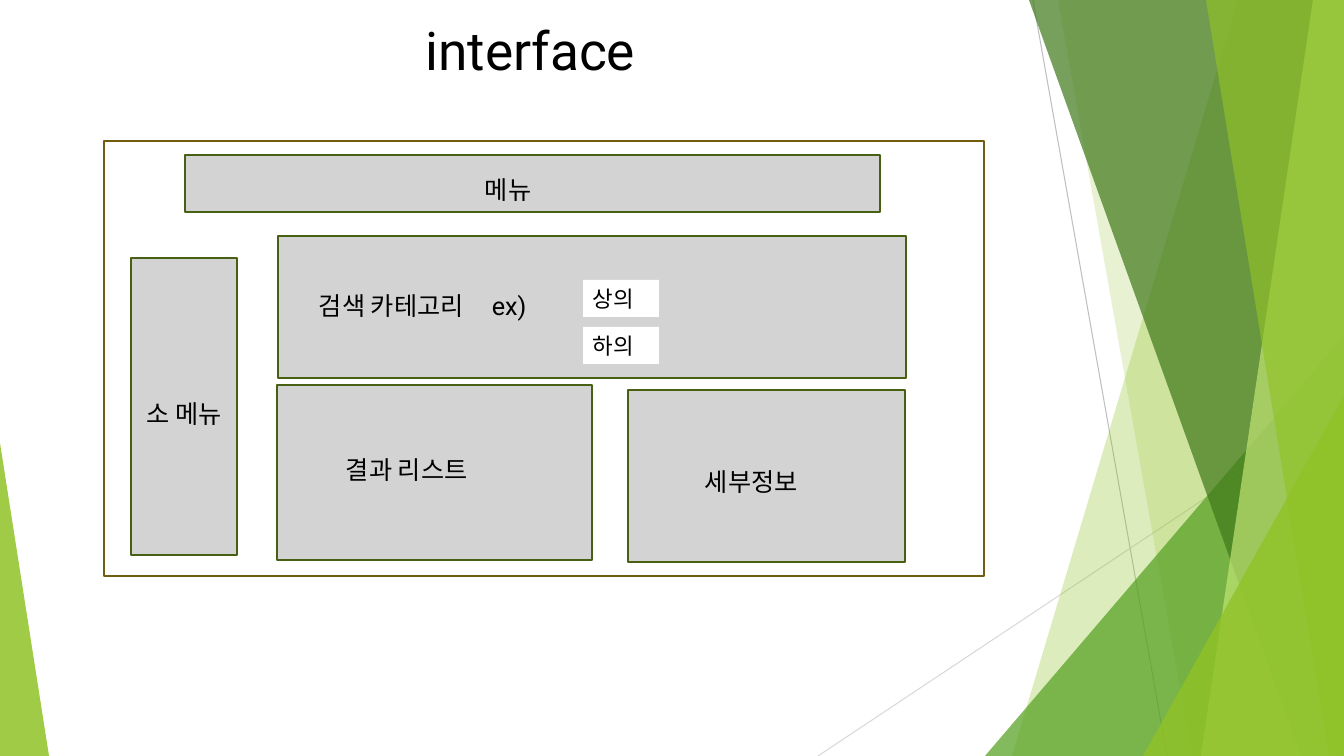
"""Build the interface wireframe slide with its green faceted border."""
from dataclasses import dataclass
from typing import Optional

from lxml import etree
from pptx import Presentation
from pptx import util as u
from pptx.dml.color import RGBColor
from pptx.enum import shapes, text
from pptx.oxml import ns

SCALE = 12192000 / 1344
WIDTH, HEIGHT = 1344, 756


@dataclass(frozen=True)
class Theme:
    font: str = "Roboto"
    title_size: int = 38
    label_size: int = 18
    chip_size: int = 16
    ink: str = "000000"
    white: str = "FFFFFF"
    panel: str = "D3D3D3"
    panel_line: str = "486013"
    frame_line: str = "725C0F"
    lime: str = "90C226"
    green: str = "54A021"
    forest: str = "3F7819"
    pale: str = "C0E474"
    ray_dark: str = "BFBFBF"
    ray_light: str = "D9D9D9"


@dataclass(frozen=True)
class Box:
    x: int
    y: int
    w: int
    h: int


@dataclass(frozen=True)
class Ray:
    start: tuple[int, int]
    end: tuple[int, int]
    color: str


@dataclass(frozen=True)
class Facet:
    top: int
    bottom: int
    color: str
    alpha: int


@dataclass(frozen=True)
class Wedge:
    box: Box
    apex: int
    color: str
    alpha: int


@dataclass(frozen=True)
class Panel:
    box: Box
    fill: str
    line: str


@dataclass(frozen=True)
class Label:
    text: str
    box: Box
    size: int
    fill: Optional[str] = None
    tab: Optional[int] = None


T = Theme()

RAYS = [
    Ray((1033, 0), (1167, HEIGHT), T.ray_dark),
    Ray((WIDTH, 406), (818, HEIGHT), T.ray_light),
]
FACETS = [
    Facet(1238, 1012, T.lime, 30),
    Facet(1058, 1192, T.lime, 20),
    Wedge(Box(985, 336, 359, 420), 1, T.green, 72),
    Facet(1029, 1301, T.forest, 70),
    Facet(1313, 1201, T.pale, 70),
    Facet(1206, 1329, T.lime, 65),
    Wedge(Box(1143, 396, 201, 360), 1, T.lime, 80),
    Wedge(Box(0, 443, 49, 313), 0, T.lime, 85),
]
PANELS = [Panel(Box(104, 141, 880, 435), T.white, T.frame_line)] + [
    Panel(box, T.panel, T.panel_line)
    for box in (
        Box(277, 385, 315, 175),
        Box(185, 155, 695, 57),
        Box(628, 390, 277, 172),
        Box(131, 258, 106, 297),
        Box(278, 236, 628, 142),
    )
]
LABELS = [
    Label("결과 리스트", Box(336, 449, 255, 40), T.label_size),
    Label("메뉴", Box(475, 169, 143, 40), T.label_size),
    Label("소 메뉴", Box(137, 393, 104, 40), T.label_size),
    Label("세부정보", Box(695, 461, 201, 40), T.label_size),
    Label("검색 카테고리\tex)", Box(309, 285, 257, 40), T.label_size, tab=173),
    Label("상의", Box(583, 280, 76, 37), T.chip_size, T.white),
    Label("하의", Box(583, 327, 76, 37), T.chip_size, T.white),
]
TITLE_BOX = Box(359, 12, 343, 74)


def px(n: int) -> u.Emu:
    """Turn px into EMU."""
    return u.Emu(round(n * SCALE))


def place(box: Box) -> list[u.Emu]:
    """Give a box as left, top, width and height in EMU."""
    return [px(n) for n in (box.x, box.y, box.w, box.h)]


def paint(s, color: str, alpha: int = 100) -> None:
    """Fill a shape with a colour of the given opacity."""
    s.fill.solid()
    s.fill.fore_color.rgb = RGBColor.from_string(color)
    if alpha < 100:
        clr = s._element.spPr.find(".//" + ns.qn("a:srgbClr"))
        etree.SubElement(clr, ns.qn("a:alpha"), val=str(alpha * 1000))


def stroke(s, color: str, width: float) -> None:
    """Draw the line of a shape."""
    s.line.color.rgb = RGBColor.from_string(color)
    s.line.width = u.Pt(width)


def draw_ray(slide, ray: Ray) -> None:
    """Draw a thin straight line."""
    s = slide.shapes.add_connector(
        shapes.MSO_CONNECTOR.STRAIGHT, *(px(n) for n in ray.start + ray.end))
    stroke(s, ray.color, 0.75)
    etree.SubElement(s._element.spPr, ns.qn("a:effectLst"))


def draw_facet(slide, facet: Facet | Wedge) -> None:
    """Draw a translucent facet of the border."""
    if isinstance(facet, Wedge):
        s = slide.shapes.add_shape(
            shapes.MSO_SHAPE.ISOSCELES_TRIANGLE, *place(facet.box))
        s.adjustments[0] = facet.apex
    else:
        builder = slide.shapes.build_freeform(facet.top, 0, scale=SCALE)
        builder.add_line_segments(
            [(WIDTH, 0), (WIDTH, HEIGHT), (facet.bottom, HEIGHT)], close=True)
        s = builder.convert_to_shape()
    paint(s, facet.color, facet.alpha)
    s.line.fill.background()
    s.shadow.inherit = False


def draw_panel(slide, panel: Panel) -> None:
    """Draw an outlined rectangle of the wireframe."""
    s = slide.shapes.add_shape(shapes.MSO_SHAPE.RECTANGLE, *place(panel.box))
    paint(s, panel.fill)
    stroke(s, panel.line, 1.5)
    s.shadow.inherit = False


def write(tf, words: str, size: int) -> None:
    """Write one run of text in a top-anchored frame."""
    tf.word_wrap = True
    tf.vertical_anchor = text.MSO_ANCHOR.TOP
    r = tf.paragraphs[0].add_run()
    r.text = words
    r.font.name = T.font
    r.font.size = u.Pt(size)
    r.font.color.rgb = RGBColor.from_string(T.ink)


def draw_label(slide, label: Label) -> None:
    """Draw a label, with its fill and tab stop if it has them."""
    s = slide.shapes.add_textbox(*place(label.box))
    if label.fill:
        paint(s, label.fill)
    if label.tab:
        p = s.text_frame.paragraphs[0]
        tabs = etree.SubElement(p._p.get_or_add_pPr(), ns.qn("a:tabLst"))
        etree.SubElement(tabs, ns.qn("a:tab"), pos=str(px(label.tab)), algn="l")
    write(s.text_frame, label.text, label.size)


def draw_title(slide) -> None:
    """Move and write the title placeholder."""
    s = slide.shapes.title
    s.left, s.top, s.width, s.height = place(TITLE_BOX)
    write(s.text_frame, "interface", T.title_size)
    s.text_frame.paragraphs[0].alignment = text.PP_ALIGN.CENTER


def main() -> None:
    """Build and save the slide."""
    prs = Presentation()
    prs.slide_width, prs.slide_height = px(WIDTH), px(HEIGHT)
    slide = prs.slides.add_slide(prs.slide_layouts.get_by_name("Title Only"))
    for items, draw in ((RAYS, draw_ray), (FACETS, draw_facet),
                        (PANELS, draw_panel), (LABELS, draw_label)):
        for item in items:
            draw(slide, item)
    draw_title(slide)
    prs.save("out.pptx")


if __name__ == "__main__":
    main()
